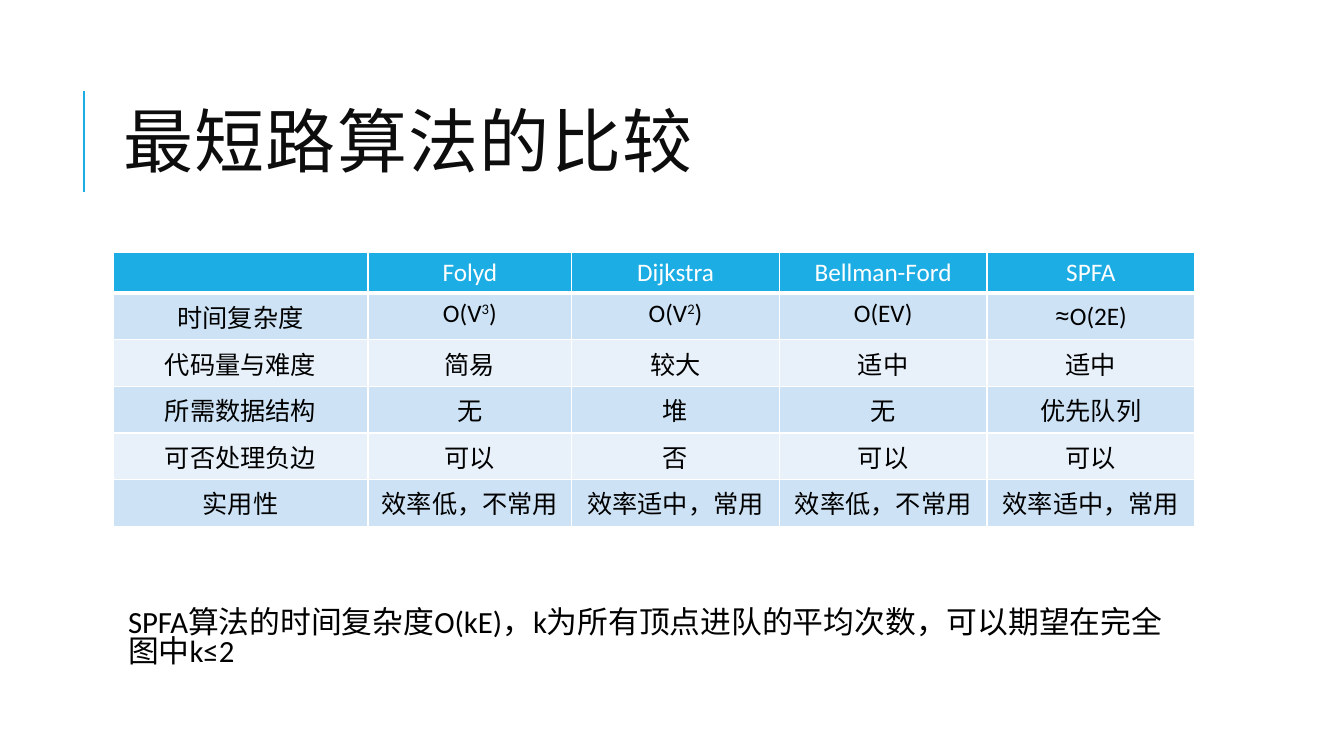
import pptx
import pptx.util
import pptx.dml.color
import pptx.enum.shapes
import pptx.enum.text
import pptx.oxml
import pptx.oxml.ns
import lxml.etree

Inches = pptx.util.Inches
Pt = pptx.util.Pt
RGBColor = pptx.dml.color.RGBColor
PP_ALIGN = pptx.enum.text.PP_ALIGN
ANCHOR = pptx.enum.text.MSO_ANCHOR

BLUE = RGBColor(0x1C, 0xAD, 0xE4)
DARK = RGBColor(0x0D, 0x0D, 0x0D)
BLACK = RGBColor(0, 0, 0)
WHITE = RGBColor(0xFF, 0xFF, 0xFF)
BANDS = [RGBColor(0xCD, 0xE3, 0xF5), RGBColor(0xE8, 0xF1, 0xFA)]

TITLE = "最短路算法的比较"
NOTE = "SPFA算法的时间复杂度O(kE)，k为所有顶点进队的平均次数，可以期望在完全图中k≤2"
COLS = [2.53, 2.02, 2.06, 2.06, 2.06]
ROW = 0.41
# A cell is a text, or a list of (text, extra run format)
ROWS = [
    ["", "Folyd", "Dijkstra", "Bellman-Ford", "SPFA"],
    ["时间复杂度",
     [("O(V", {}), ("3", {"baseline": 30000}), (")", {})],
     [("O(V", {}), ("2", {"baseline": 30000}), (")", {})],
     "O(EV)",
     [("≈", {"name": "Noto Sans Mono"}), ("O(2E)", {})]],
    ["代码量与难度", "简易", "较大", "适中", "适中"],
    ["所需数据结构", "无", "堆", "无", "优先队列"],
    ["可否处理负边", "可以", "否", "可以", "可以"],
    ["实用性", "效率低，不常用", "效率适中，常用", "效率低，不常用", "效率适中，常用"],
]


def set_all(item, form):
    for key, value in form.items():
        setattr(item, key, value)


def add_run(para, text, name, size, color, **more):
    run = para.add_run()
    run.text = text
    set_all(run.font, {"name": name, "size": Pt(size)})
    run.font.color.rgb = color
    for key, value in more.items():
        run._r.get_or_add_rPr().set(key, str(value))


def add_edge(cell, side, width):
    edge = pptx.oxml.parse_xml(
        f'<a:{side} {pptx.oxml.ns.nsdecls("a")} w="{Pt(width)}"><a:solidFill>'
        f'<a:srgbClr val="{WHITE}"/></a:solidFill></a:{side}>')
    cell._tc.get_or_add_tcPr().append(edge)


def add_title(slide, left, top, width, height):
    # Accent line left of the title
    x = Inches(left - 0.29)
    line = slide.shapes.add_connector(
        pptx.enum.shapes.MSO_CONNECTOR.STRAIGHT,
        x, Inches(top + 1.26), x, Inches(top + 0.26))
    line.line.color.rgb = BLUE
    line.line.width = Pt(1.5)
    lxml.etree.SubElement(line._element.spPr, pptx.oxml.ns.qn("a:effectLst"))
    # Title text
    title = slide.shapes.title
    set_all(title, {"left": Inches(left), "top": Inches(top),
                    "width": Inches(width), "height": Inches(height)})
    set_all(title.text_frame, {
        "vertical_anchor": ANCHOR.MIDDLE, "word_wrap": True,
        "auto_size": pptx.enum.text.MSO_AUTO_SIZE.NONE})
    para = title.text_frame.paragraphs[0]
    set_all(para, {"alignment": PP_ALIGN.LEFT, "line_spacing": 0.8})
    add_run(para, TITLE, "Cabin", 50, DARK, spc=100)


def fill_cell(cell, parts, head, band):
    # Borders come before the fill in the cell's XML
    for side, width in {"lnL": 1, "lnR": 1, "lnT": 1, "lnB": 3 if head else 1}.items():
        add_edge(cell, side, width)
    cell.fill.solid()
    cell.fill.fore_color.rgb = BLUE if head else band
    para = cell.text_frame.paragraphs[0]
    para.alignment = PP_ALIGN.CENTER
    para.font.size = Pt(18)
    if isinstance(parts, str):
        parts = [(parts, {})] if parts else []
    for text, more in parts:
        form = {"name": "Calibri", "size": 18, "color": WHITE if head else BLACK}
        add_run(para, text, **{**form, **more})


def add_grid(slide, left, top):
    frame = slide.shapes.add_table(
        len(ROWS), len(COLS), Inches(left), Inches(top),
        Inches(sum(COLS)), Inches(ROW * len(ROWS)))
    table = frame.table
    for col, width in zip(table.columns, COLS):
        col.width = Inches(width)
    for r, texts in enumerate(ROWS):
        table.rows[r].height = Inches(ROW)
        for c, parts in enumerate(texts):
            fill_cell(table.cell(r, c), parts, r == 0, BANDS[(r - 1) % 2])


def add_note(slide, left, top, width, height):
    box = slide.shapes.add_textbox(
        Inches(left), Inches(top), Inches(width), Inches(height))
    set_all(box.text_frame, {
        "word_wrap": True, "margin_left": Inches(0.15), "margin_right": Inches(0.05),
        "margin_top": Inches(0.05), "margin_bottom": Inches(0.05)})
    para = box.text_frame.paragraphs[0]
    para.line_spacing = 0.8
    add_run(para, NOTE, "Calibri", 22, BLACK)


def main():
    deck = pptx.Presentation()
    set_all(deck, {"slide_width": Inches(13.33), "slide_height": Inches(7.5)})
    slide = deck.slides.add_slide(deck.slide_layouts[5])
    add_title(slide, 1.12, 0.64, 10.63, 1.64)
    add_grid(slide, 1.12, 2.5)
    add_note(slide, 1.12, 6, 10.63, 0.7)
    deck.save("out.pptx")


if __name__ == "__main__":
    main()
